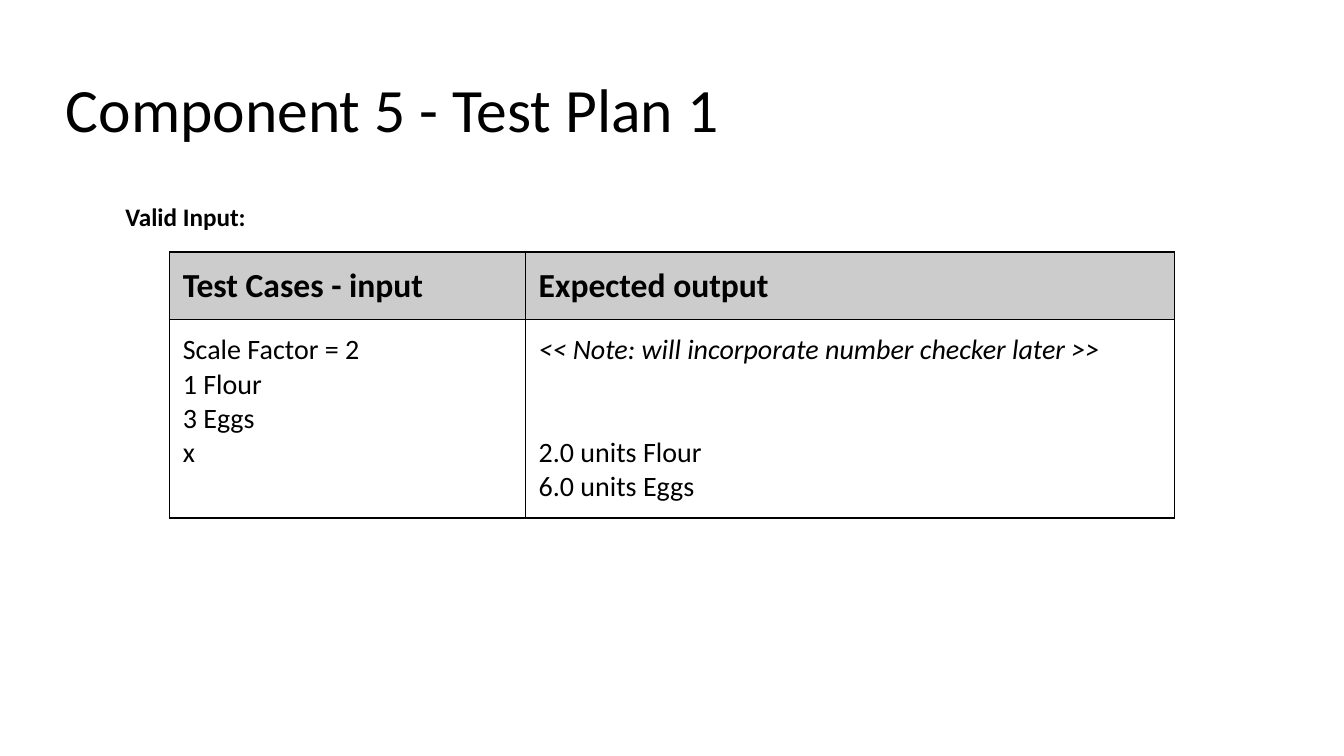
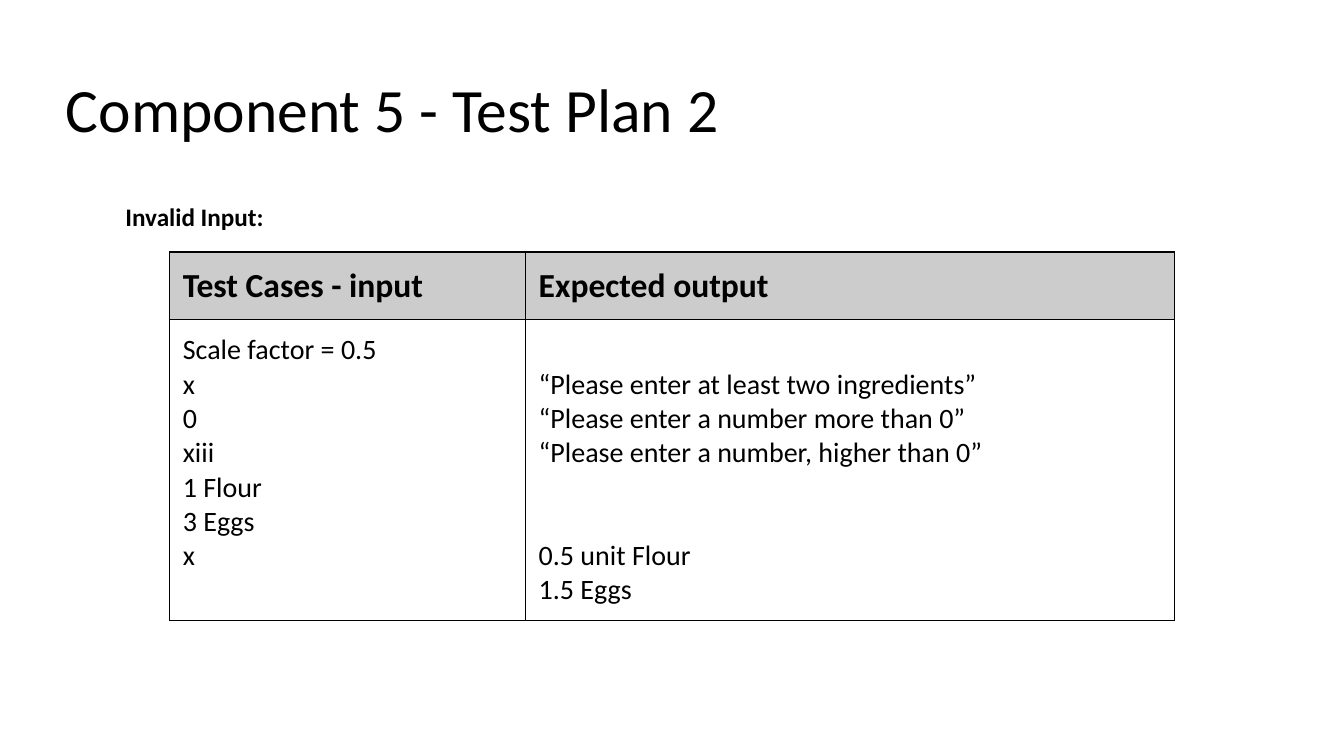
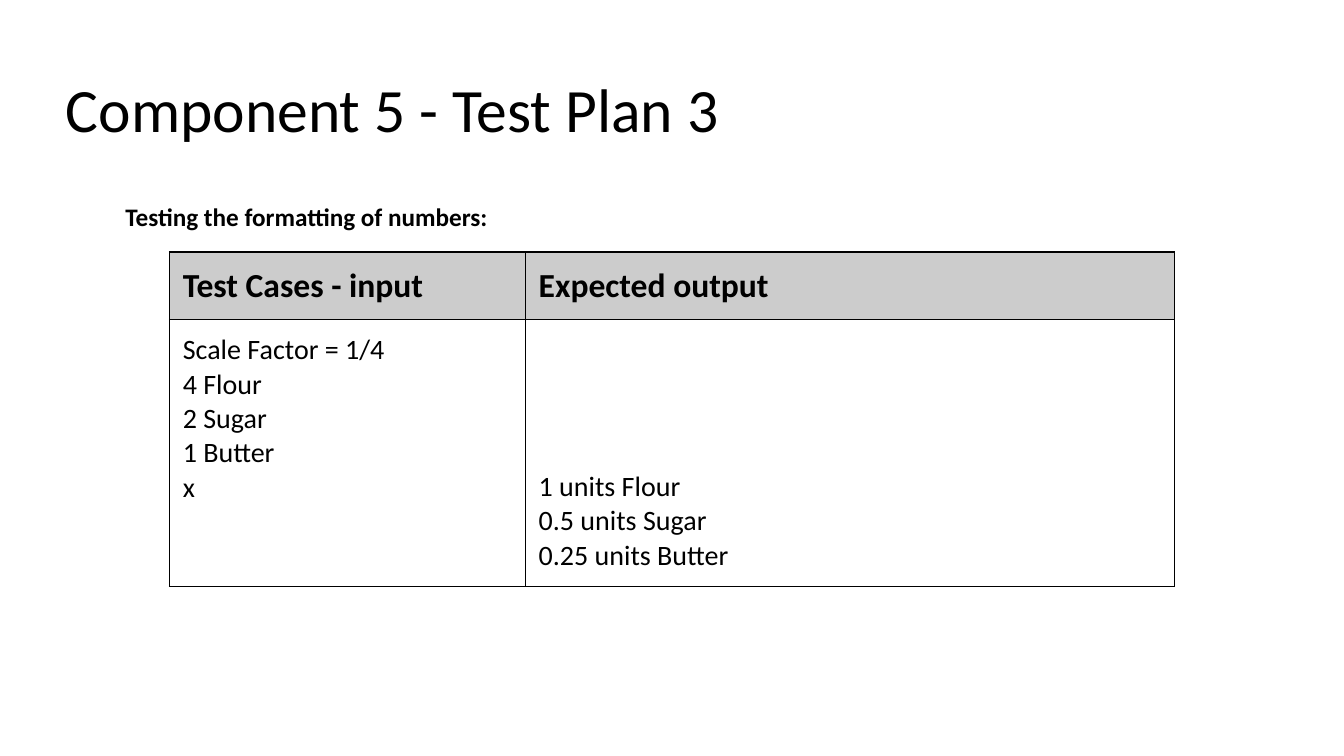
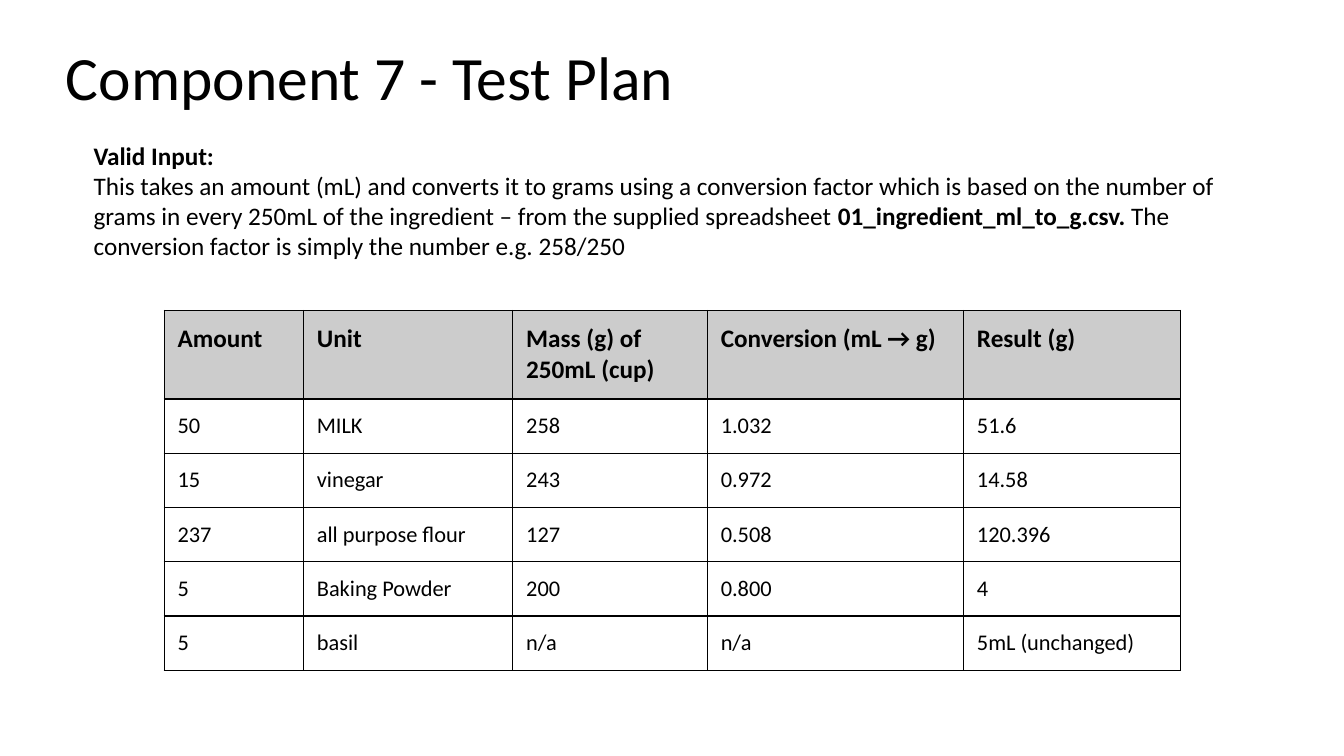
from dataclasses import dataclass

from lxml.etree import SubElement
from pptx import Presentation
from pptx.dml.color import RGBColor
from pptx.enum.text import MSO_ANCHOR, MSO_AUTO_SIZE, PP_ALIGN
from pptx.oxml.ns import qn
from pptx.util import Pt


@dataclass(frozen=True)
class Theme:
    font: str = "Calibri"
    ink: str = "000000"
    header_fill: str = "CCCCCC"
    title_size: float = 44
    intro_size: float = 18
    line_height: float = 1.22
    inset: float = 9.6
    border: float = 1


THEME = Theme()
TITLE_LEFT, TITLE_WIDTH, TITLE_HEIGHT = 37.5, 878.4, 60.5

# Each output is paired with the line of the cell on which it stands.
CASE_PLANS = [
    {
        "title": "Component 5 - Test Plan 1",
        "intro": "Valid Input:",
        "inputs": ["Scale Factor = 2", "1 Flour", "3 Eggs", "x"],
        "outputs": [
            (0, "<< Note: will incorporate number checker later >>"),
            (3, "2.0 units Flour"),
            (4, "6.0 units Eggs"),
        ],
        "note_line": 0,
    },
    {
        "title": "Component 5 - Test Plan 2",
        "intro": "Invalid Input:",
        "inputs": ["Scale factor = 0.5", "x", "0", "xiii", "1 Flour", "3 Eggs", "x"],
        "outputs": [
            (1, "“Please enter at least two ingredients”"),
            (2, "“Please enter a number more than 0”"),
            (3, "“Please enter a number, higher than 0”"),
            (6, "0.5 unit Flour"),
            (7, "1.5 Eggs"),
        ],
    },
    {
        "title": "Component 5 - Test Plan 3",
        "intro": "Testing the formatting of numbers:",
        "inputs": ["Scale Factor = 1/4", "4 Flour", "2 Sugar", "1 Butter", "x"],
        "outputs": [
            (4, "1 units Flour"),
            (5, "0.5 units Sugar"),
            (6, "0.25 units Butter"),
        ],
    },
]
CASE_HEADERS = ["Test Cases - input", "Expected output"]
CASE_COLUMNS = [254.2, 463.7]
CASE_HEADER_SIZE, CASE_SIZE = 24, 20

CONVERSION_TITLE = "Component 7 - Test Plan"
CONVERSION_INTRO = [
    [("Valid Input:", True)],
    [
        ("This takes an amount (mL) and converts it to grams using a conversion factor "
         "which is based on the number of grams in every 250mL of the ingredient – "
         "from the supplied spreadsheet ", False),
        ("01_ingredient_ml_to_g.csv. ", True),
        ("The conversion factor is simply the number e.g. 258/250", False),
    ],
]
CONVERSION_ROWS = [
    ["Amount", "Unit", "Mass (g) of 250mL (cup)", "Conversion (mL → g)", "Result (g)"],
    ["50", "MILK", "258", "1.032", "51.6"],
    ["15", "vinegar", "243", "0.972", "14.58"],
    ["237", "all purpose flour", "127", "0.508", "120.396"],
    ["5", "Baking Powder", "200", "0.800", "4"],
    ["5", "basil", "n/a", "n/a", "5mL (unchanged)"],
]
CONVERSION_COLUMNS = [99.5, 149.5, 139, 183, 154.8]
CONVERSION_HEADER_SIZE, CONVERSION_SIZE = 18, 16


def style_font(font, size, bold=False, italic=False):
    font.name = THEME.font
    font.size = Pt(size)
    font.bold = bold
    font.italic = italic
    font.color.rgb = RGBColor.from_string(THEME.ink)


def row_height(lines, size):
    return lines * size * THEME.line_height + 2 * THEME.inset


def set_insets(target):
    """Give a text frame or a table cell the shared inner margins."""
    target.margin_left = target.margin_right = Pt(THEME.inset)
    target.margin_top = target.margin_bottom = Pt(THEME.inset)


def add_titled_slide(deck, title, top):
    slide = deck.slides.add_slide(deck.slide_layouts[5])
    heading = slide.shapes.title
    heading.left, heading.top = Pt(TITLE_LEFT), Pt(top)
    heading.width, heading.height = Pt(TITLE_WIDTH), Pt(TITLE_HEIGHT)
    frame = heading.text_frame
    frame.text = title
    frame.auto_size = MSO_AUTO_SIZE.NONE
    frame.vertical_anchor = MSO_ANCHOR.TOP
    set_insets(frame)
    paragraph = frame.paragraphs[0]
    paragraph.alignment = PP_ALIGN.LEFT
    paragraph.line_spacing = 0.9
    style_font(paragraph.runs[0].font, THEME.title_size)
    return slide


def add_intro(slide, paragraphs, left, top, width, height):
    frame = slide.shapes.add_textbox(Pt(left), Pt(top), Pt(width), Pt(height)).text_frame
    frame.word_wrap = True
    frame.auto_size = MSO_AUTO_SIZE.SHAPE_TO_FIT_TEXT
    for index, pieces in enumerate(paragraphs):
        paragraph = frame.add_paragraph() if index else frame.paragraphs[0]
        for text, bold in pieces:
            run = paragraph.add_run()
            run.text = text
            style_font(run.font, THEME.intro_size, bold)


def draw_borders(cell):
    properties = cell._tc.get_or_add_tcPr()
    for side in ("lnL", "lnR", "lnT", "lnB"):
        line = SubElement(properties, qn(f"a:{side}"), w=str(Pt(THEME.border)))
        fill = SubElement(line, qn("a:solidFill"))
        SubElement(fill, qn("a:srgbClr"), val=THEME.ink)


def add_grid(slide, left, top, columns, heights):
    """Add an empty bordered table whose first row is shaded."""
    table = slide.shapes.add_table(
        len(heights), len(columns), Pt(left), Pt(top), Pt(sum(columns)), Pt(sum(heights))
    ).table
    table.first_row = table.horz_banding = False
    for column, width in zip(table.columns, columns):
        column.width = Pt(width)
    for index, (row, height) in enumerate(zip(table.rows, heights)):
        row.height = Pt(height)
        for cell in row.cells:
            set_insets(cell)
            draw_borders(cell)
            if index == 0:
                cell.fill.solid()
                cell.fill.fore_color.rgb = RGBColor.from_string(THEME.header_fill)
            else:
                cell.fill.background()
    return table


def fill_row(row, texts, size, bold=False):
    for cell, text in zip(row.cells, texts):
        cell.text = text
        for paragraph in cell.text_frame.paragraphs:
            style_font(paragraph.runs[0].font, size, bold)


def place_outputs(cell, outputs, note_line):
    """Move each output down to its line and set the note in italics."""
    line_pitch = CASE_SIZE * THEME.line_height
    next_line = 0
    for paragraph, (line, _) in zip(cell.text_frame.paragraphs, outputs):
        gap = (line - next_line) * line_pitch
        if next_line == 0:
            cell.margin_top = Pt(THEME.inset + gap)
        elif gap:
            paragraph.space_before = Pt(gap)
        paragraph.runs[0].font.italic = line == note_line
        next_line = line + 1


def add_case_plan(deck, plan):
    slide = add_titled_slide(deck, plan["title"], top=46.8)
    outputs = plan["outputs"]
    lines = max(len(plan["inputs"]), outputs[-1][0] + 1)
    heights = [row_height(1, CASE_HEADER_SIZE), row_height(lines, CASE_SIZE)]
    table = add_grid(slide, 121, 180, CASE_COLUMNS, heights)
    fill_row(table.rows[0], CASE_HEADERS, CASE_HEADER_SIZE, bold=True)
    cases = ["\n".join(plan["inputs"]), "\n".join(text for _, text in outputs)]
    fill_row(table.rows[1], cases, CASE_SIZE)
    place_outputs(table.cell(1, 1), outputs, plan.get("note_line"))
    add_intro(slide, [[(plan["intro"], True)]], 82.5, 140, 795, 29)


def add_conversion_plan(deck):
    slide = add_titled_slide(deck, CONVERSION_TITLE, top=24.5)
    header, *records = CONVERSION_ROWS
    heights = [row_height(2, CONVERSION_HEADER_SIZE)]
    heights += [row_height(1, CONVERSION_SIZE)] * len(records)
    table = add_grid(slide, 117.3, 221.8, CONVERSION_COLUMNS, heights)
    fill_row(table.rows[0], header, CONVERSION_HEADER_SIZE, bold=True)
    for index, record in enumerate(records, start=1):
        fill_row(table.rows[index], record, CONVERSION_SIZE)
    add_intro(slide, CONVERSION_INTRO, 59.8, 96.5, 832.3, 94.5)


def main():
    deck = Presentation()
    deck.slide_width, deck.slide_height = Pt(960), Pt(540)
    for plan in CASE_PLANS:
        add_case_plan(deck, plan)
    add_conversion_plan(deck)
    deck.save("out.pptx")


if __name__ == "__main__":
    main()
